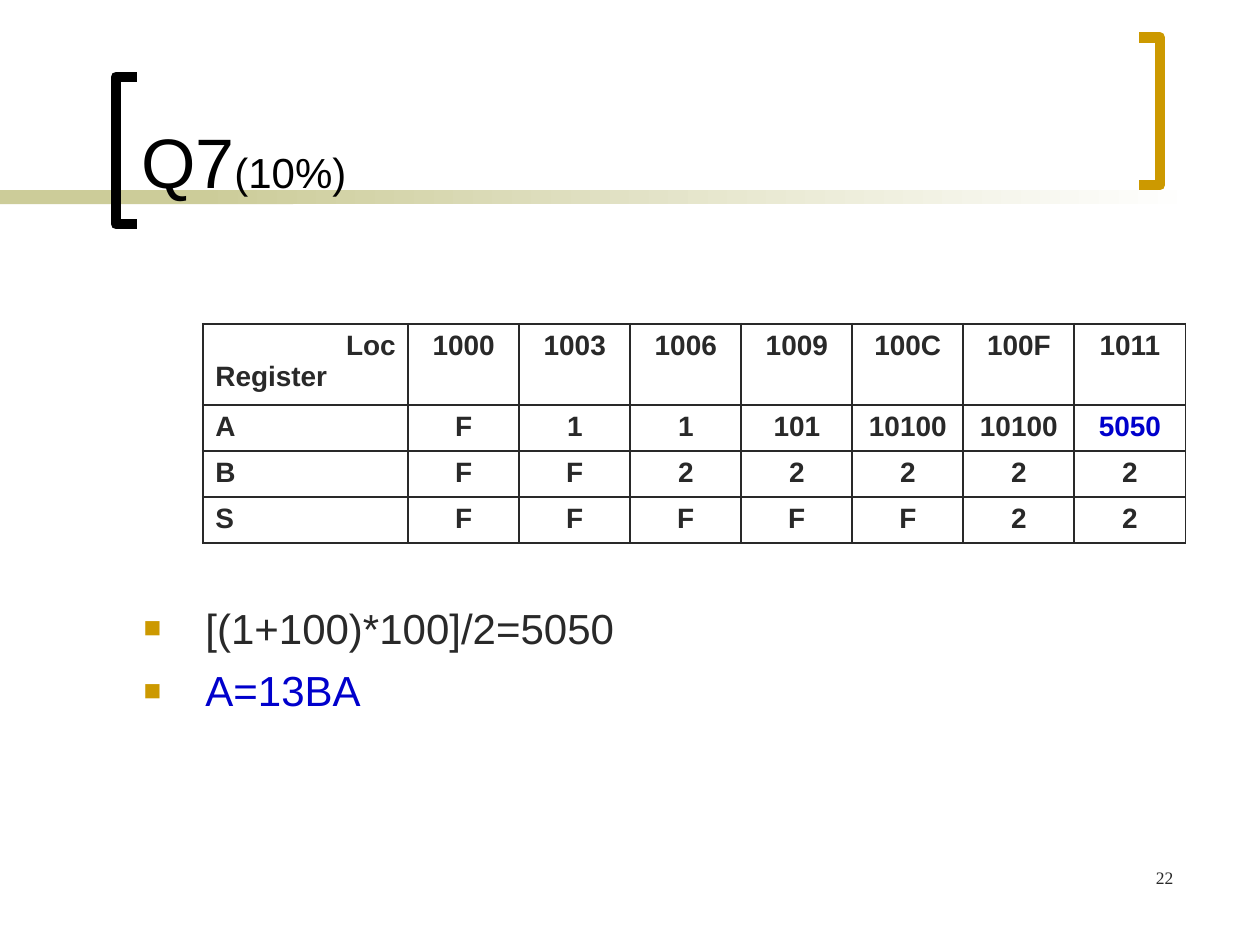
from lxml.etree import SubElement
from pptx import Presentation
from pptx.dml.color import RGBColor
from pptx.enum.shapes import MSO_SHAPE as Preset
from pptx.enum.text import MSO_ANCHOR as Anchor, MSO_AUTO_SIZE as AutoSize, PP_ALIGN as Align
from pptx.oxml import parse_xml
from pptx.oxml.ns import nsdecls, qn
from pptx.util import Inches, Pt

COLORS = {
    "black": "000000",
    "text": "292929",
    "answer": "0000CC",
    "gold": "CC9900",
    "olive": "CCCC99",
    "white": "FFFFFF",
}
WIDTH, HEIGHT = Inches(10), Inches(7.5)
REGISTERS = [
    ["Loc\nRegister", "1000", "1003", "1006", "1009", "100C", "100F", "1011"],
    ["A", "F", "1", "1", "101", "10100", "10100", "5050"],
    ["B", "F", "F", "2", "2", "2", "2", "2"],
    ["S", "F", "F", "F", "F", "F", "2", "2"],
]


def color(name):
    """Return the named colour."""
    return RGBColor.from_string(COLORS[name])


def percent_box(left, top, width, height):
    """Turn percentages of the slide into a box of lengths."""
    return [int(share * length / 100) for share, length in
            zip((left, top, width, height), (WIDTH, HEIGHT) * 2)]


def set_values(target, values):
    """Set attributes from a dict of format values."""
    for name, value in values.items():
        setattr(target, name, value)


def add_text(paragraph, text, size, color_name="text", font="Arial", bold=False):
    """Add a formatted run to a paragraph."""
    run = paragraph.add_run()
    run.text = text
    set_values(run.font, {"name": font, "size": Pt(size), "bold": bold})
    run.font.color.rgb = color(color_name)


def place_frame(shape, box, **values):
    """Move a text shape to the front of its box and format its frame."""
    set_values(shape, dict(zip(("left", "top", "width", "height"), box)))
    shape.element.getparent().append(shape.element)
    frame = shape.text_frame
    set_values(frame, {"word_wrap": True, "auto_size": AutoSize.NONE,
                       "vertical_anchor": Anchor.TOP, **values})
    return frame


def draw_band(slide, box):
    """Draw a band that is solid at first and then fades to white."""
    left, top, width, height = box
    solid_width = int(width * 0.245)
    solid = slide.shapes.add_shape(Preset.RECTANGLE, left, top, solid_width, height)
    solid.fill.solid()
    solid.fill.fore_color.rgb = color("olive")
    fade_left = left + int(width * 0.166)
    fade = slide.shapes.add_shape(Preset.RECTANGLE, fade_left, top,
                                  left + width - fade_left, height)
    fade.fill.gradient()
    fade.fill.gradient_angle = 0
    for stop, name in zip(fade.fill.gradient_stops, ("olive", "white")):
        stop.color.rgb = color(name)
    for shape in (solid, fade):
        shape.line.fill.background()
        shape.shadow.inherit = False


def draw_bracket(slide, box, color_name, opens_right):
    """Draw a square bracket that fills its box."""
    left, top, width, height = box
    tip, spine = (left + width, left) if opens_right else (left, left + width)
    builder = slide.shapes.build_freeform(tip, top)
    builder.add_line_segments(
        [(spine, top), (spine, top + height), (tip, top + height)], close=False)
    bracket = builder.convert_to_shape()
    bracket.fill.background()
    bracket.line.width = Pt(6)
    bracket.line.color.rgb = color(color_name)
    bracket.shadow.inherit = False


def fill_title(slide, box):
    """Write the question number and its weight."""
    frame = place_frame(slide.shapes.title, box, vertical_anchor=Anchor.BOTTOM)
    paragraph = frame.paragraphs[0]
    paragraph.alignment = Align.LEFT
    add_text(paragraph, "Q7", 40, "black")
    add_text(paragraph, "(10%)", 24, "black")


def add_bullet(paragraph):
    """Give a paragraph a small gold square with a hanging indent."""
    properties = paragraph._p.get_or_add_pPr()
    indent = Inches(0.49)
    properties.set("marL", str(indent))
    properties.set("indent", str(-indent))
    bullet_color = SubElement(properties, qn("a:buClr"))
    SubElement(bullet_color, qn("a:srgbClr"), val=COLORS["gold"])
    SubElement(properties, qn("a:buSzPct"), val="70000")
    SubElement(properties, qn("a:buFont"), typeface="Arial")
    SubElement(properties, qn("a:buChar"), char="■")


def fill_body(slide, box):
    """Write the bulleted answer in the lower part of the body."""
    frame = place_frame(slide.placeholders[1], box, margin_top=int(box[3] * 0.58))
    lines = [("[(1+100)*100]/2=5050", "text"), ("A=13BA", "answer")]
    for index, (text, color_name) in enumerate(lines):
        paragraph = frame.add_paragraph() if index else frame.paragraphs[0]
        set_values(paragraph, {"alignment": Align.LEFT, "space_before": Pt(0),
                               "space_after": Pt(7)})
        add_bullet(paragraph)
        add_text(paragraph, text, 24, color_name)


def border_cell(cell):
    """Draw a thin line on each side of a cell."""
    properties = cell._tc.get_or_add_tcPr()
    for index, side in enumerate(("lnL", "lnR", "lnT", "lnB")):
        properties.insert(index, parse_xml(
            f'<a:{side} {nsdecls("a")} w="{Pt(1.08)}"><a:solidFill>'
            f'<a:srgbClr val="{COLORS["text"]}"/></a:solidFill></a:{side}>'))


def fill_cell(cell, text, alignments):
    """Write one paragraph for each line of a cell's text."""
    cell.fill.background()
    border_cell(cell)
    for index, (line, alignment) in enumerate(zip(text.split("\n"), alignments)):
        frame = cell.text_frame
        paragraph = frame.add_paragraph() if index else frame.paragraphs[0]
        paragraph.alignment = alignment
        add_text(paragraph, line, 16, "answer" if line == "5050" else "text", bold=True)


def draw_registers(slide, box):
    """Draw the table of register values at each location."""
    width, height = box[2:]
    table = slide.shapes.add_table(len(REGISTERS), len(REGISTERS[0]), *box).table
    set_values(table, {"first_row": False, "horz_banding": False})
    for index, column in enumerate(table.columns):
        column.width = int(width * (0.113 if index else 0.209))
    for index, row in enumerate(table.rows):
        row.height = int(height * (0.21 if index else 0.37))
    for row_index, values in enumerate(REGISTERS):
        for column_index, text in enumerate(values):
            alignments = [Align.CENTER] if column_index else [Align.LEFT]
            if "\n" in text:
                alignments = [Align.RIGHT, Align.LEFT]
            fill_cell(table.cell(row_index, column_index), text, alignments)


def draw_page_number(slide, box):
    """Write the page number at the right of its box."""
    paragraph = place_frame(slide.shapes.add_textbox(*box), box).paragraphs[0]
    paragraph.alignment = Align.RIGHT
    add_text(paragraph, "22", 10, font="Times New Roman")


def main():
    """Build the question slide and save it."""
    presentation = Presentation()
    set_values(presentation, {"slide_width": WIDTH, "slide_height": HEIGHT})
    slide = presentation.slides.add_slide(presentation.slide_layouts[1])
    draw_band(slide, percent_box(0, 20.13, 95, 1.47))
    draw_bracket(slide, percent_box(9.2, 8.13, 1.65, 15.6), "black", True)
    draw_bracket(slide, percent_box(90.4, 4, 1.65, 15.6), "gold", False)
    fill_title(slide, percent_box(10.2, 1.47, 78.3, 20.67))
    fill_body(slide, percent_box(10.4, 28.93, 83.8, 60))
    draw_registers(slide, percent_box(16.1, 34.27, 78, 23.2))
    draw_page_number(slide, percent_box(73.3, 91.07, 20.8, 6.67))
    presentation.save("out.pptx")


if __name__ == "__main__":
    main()
